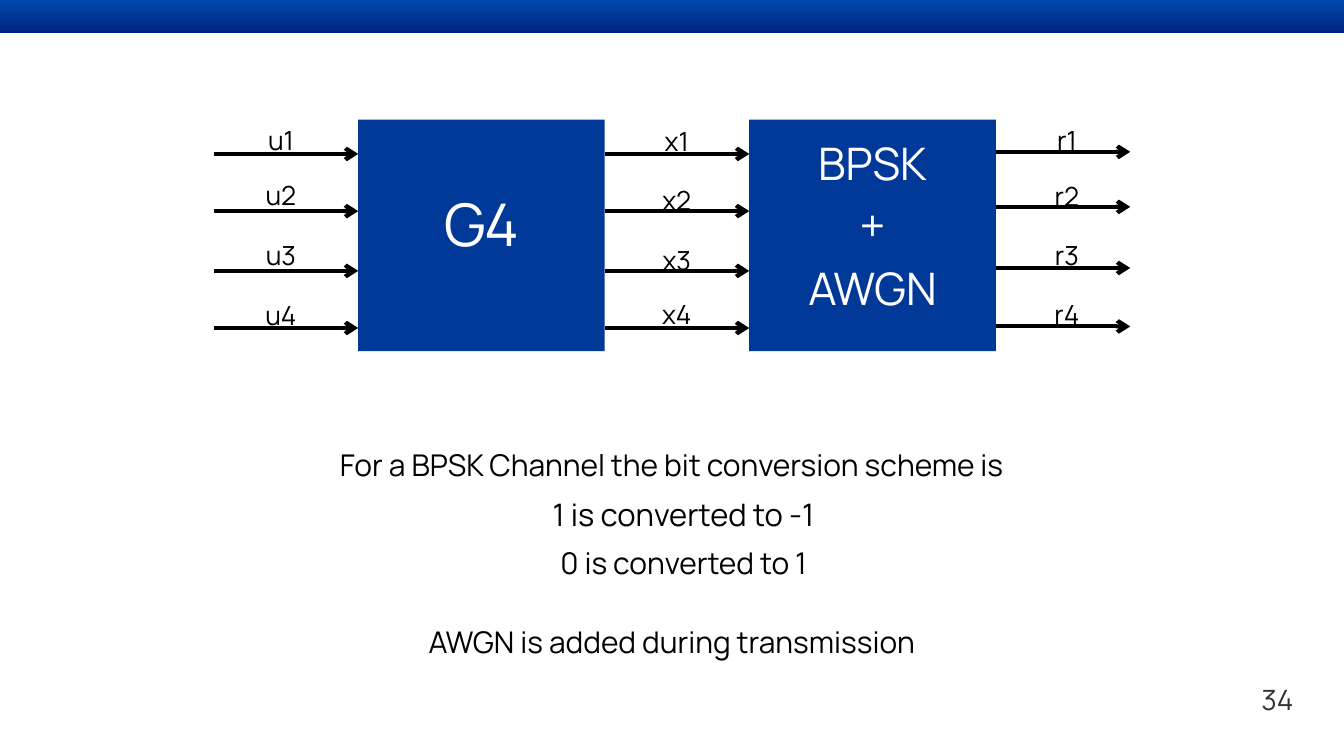
from lxml import etree
from pptx import Presentation
from pptx import util as u
from pptx.dml.color import RGBColor
from pptx.enum import shapes, text
from pptx.oxml.ns import qn

BLACK = RGBColor(0x00, 0x00, 0x00)
WHITE = RGBColor(0xFF, 0xFF, 0xFF)
GREY = RGBColor(0x33, 0x33, 0x33)
BLUE = RGBColor(0x00, 0x39, 0x97)
BAND_TOP = RGBColor(0x00, 0x4A, 0xAD)
BAND_BOTTOM = RGBColor(0x00, 0x24, 0x7D)

BLOCK_TOP, BLOCK_WIDTH, BLOCK_HEIGHT = 4.52, 9.32, 8.76
ENCODER_LEFT, CHANNEL_LEFT = 13.54, 28.32
INPUT_LEFT, OUTPUT_RIGHT = 8.08, 42.72
INSET = 0.18

# letter, arrow start, arrow end, label left, arrow heights, label tops
IN_ROWS = (5.82, 7.98, 10.24, 12.4)
OUT_ROWS = (5.74, 7.82, 10.13, 12.34)
SIGNALS = [
    ("u", INPUT_LEFT, ENCODER_LEFT, 9.63, IN_ROWS, (4.29, 6.38, 8.66, 10.92)),
    ("x", ENCODER_LEFT + BLOCK_WIDTH, CHANNEL_LEFT, 24.59, IN_ROWS,
     (4.34, 6.55, 8.84, 10.87)),
    ("r", CHANNEL_LEFT + BLOCK_WIDTH, OUTPUT_RIGHT, 39.34, OUT_ROWS,
     (4.29, 6.4, 8.66, 10.87)),
]


class Painter:
    """Holds the text style and the page being drawn; lengths are in cm."""

    font = "Manrope"
    line_width = u.Pt(4.44)

    def __init__(self, page):
        self.page = page

    def add_lines(self, frame, lines, color, align=text.PP_ALIGN.CENTER):
        """Fill a frame with (words, size, line spacing, indent) lines."""
        for number, (words, size, spacing, indent) in enumerate(lines):
            para = frame.add_paragraph() if number else frame.paragraphs[0]
            para.alignment = align
            para.line_spacing = u.Pt(spacing)
            if indent:
                para._p.get_or_add_pPr().set("marL", str(u.Cm(indent)))
            span = para.add_run()
            span.text = words
            span.font.name = self.font
            span.font.size = u.Pt(size)
            span.font.color.rgb = color

    def text(self, left, top, width, height, lines, color=BLACK,
             align=text.PP_ALIGN.CENTER):
        box = self.page.shapes.add_textbox(
            u.Cm(left), u.Cm(top), u.Cm(width), u.Cm(height))
        frame = box.text_frame
        frame.word_wrap = True
        frame.margin_left = frame.margin_right = 0
        frame.margin_top = frame.margin_bottom = 0
        self.add_lines(frame, lines, color, align)

    def rectangle(self, left, top, width, height):
        box = self.page.shapes.add_shape(
            shapes.MSO_SHAPE.RECTANGLE,
            u.Cm(left), u.Cm(top), u.Cm(width), u.Cm(height))
        box.shadow.inherit = False
        box.line.fill.background()
        return box

    def band(self, width, height):
        fill = self.rectangle(0, 0, width, height).fill
        fill.gradient()
        fill.gradient_angle = 270
        for stop, color in zip(fill.gradient_stops, (BAND_TOP, BAND_BOTTOM)):
            stop.color.rgb = color

    def block(self, left, lines, lift):
        """Draw a system block whose words sit above its middle by lift / 2."""
        box = self.rectangle(left, BLOCK_TOP, BLOCK_WIDTH, BLOCK_HEIGHT)
        box.fill.solid()
        box.fill.fore_color.rgb = BLUE
        frame = box.text_frame
        frame.word_wrap = True
        frame.vertical_anchor = text.MSO_ANCHOR.MIDDLE
        frame.margin_left = frame.margin_right = frame.margin_top = u.Cm(INSET)
        frame.margin_bottom = u.Cm(INSET + lift)
        self.add_lines(frame, lines, WHITE)

    def arrow(self, start, end, y):
        connector = self.page.shapes.add_connector(
            shapes.MSO_CONNECTOR.STRAIGHT,
            u.Cm(start), u.Cm(y), u.Cm(end), u.Cm(y))
        connector.line.width = self.line_width
        connector.line.color.rgb = BLACK
        properties = connector._element.spPr
        line = properties.find(qn("a:ln"))
        etree.SubElement(line, qn("a:tailEnd"), type="arrow")
        etree.SubElement(properties, qn("a:effectLst"))


def main():
    deck = Presentation()
    deck.slide_width, deck.slide_height = u.Cm(50.8), u.Cm(28.58)
    painter = Painter(deck.slides.add_slide(deck.slide_layouts[6]))

    painter.band(50.8, 1.24)
    painter.block(ENCODER_LEFT, [("G4", 63, 88.2, 0)], lift=1.37)
    painter.block(CHANNEL_LEFT,
                  [(words, 48, 67.2, 0) for words in ("BPSK", "+", "AWGN")],
                  lift=1.14)

    for letter, start, end, label_left, rows, tops in SIGNALS:
        for number, (y, top) in enumerate(zip(rows, tops), 1):
            painter.arrow(start, end, y)
            painter.text(label_left, top, 1.98, 1.42,
                         [(f"{letter}{number}", 28.2, 45.1, 0)])

    painter.text(11.02, 16.44, 28.73, 5.33, [
        ("For a BPSK Channel the bit conversion scheme is", 32.1, 51.4, 0),
        ("1 is converted to -1", 33.2, 53.1, 0.91),
        ("0 is converted to 1", 32.1, 51.4, 0.91),
    ])
    painter.text(15.04, 23.11, 20.73, 1.73,
                 [("AWGN is added during transmission", 32, 51.2, 0)])
    painter.text(46.99, 25.37, 1.9, 1.63, [("34", 30, 48, 0)], GREY,
                 text.PP_ALIGN.RIGHT)

    deck.save("out.pptx")


if __name__ == "__main__":
    main()
